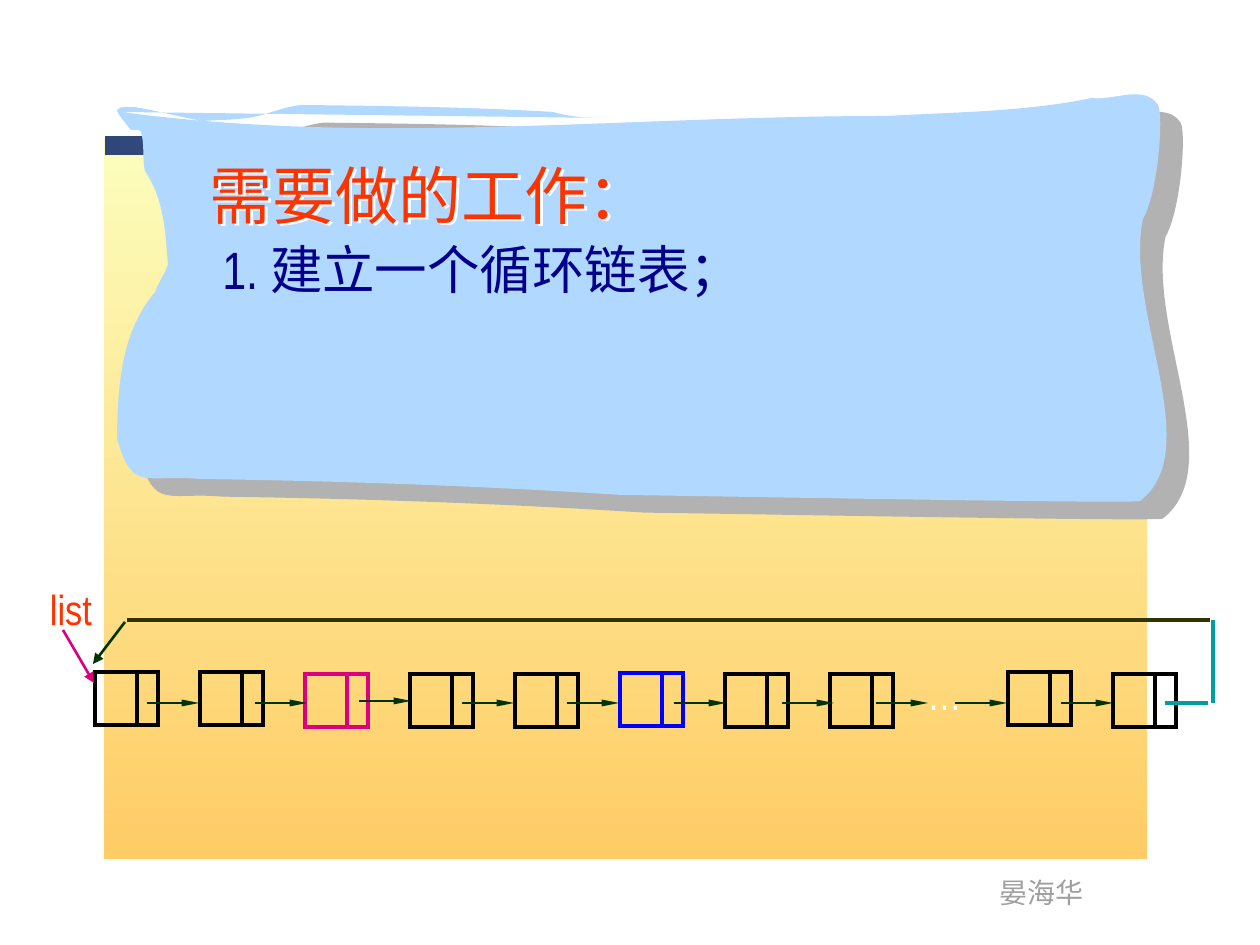
"""Build a slide about creating a circular linked list."""
import pptx
import pptx.util
import pptx.dml.color
import pptx.enum.shapes
import pptx.enum.text
import pptx.oxml
import pptx.oxml.ns

PX = 914400 // 126
LATIN, HAN = "Arial Narrow", "Noto Sans CJK SC"
COLORS = {
    "cream": "FCFEBC", "orange": "FFCC66", "navy": "2F4778", "sky": "6699FF",
    "paper": "B1D8FF", "shade": "B2B2B2", "red": "FF3300", "ink": "00008C",
    "gray": "9F9F9F", "white": "FFFFFF", "black": "000000", "pink": "DC0081",
    "blue": "0000FF", "olive": "333300", "green": "003300", "teal": "009EA1",
}
RGB = {name: pptx.dml.color.RGBColor.from_string(code) for name, code in COLORS.items()}
NAMESPACE = pptx.oxml.ns.nsdecls("a")
EFFECTS = f"<a:effectLst {NAMESPACE}>%s</a:effectLst>"
SHADOW = ('<a:outerShdw dist="%d" dir="2280000" algn="ctr" rotWithShape="0">'
          '<a:srgbClr val="%s"/></a:outerShdw>')

deck = pptx.Presentation()
deck.slide_width, deck.slide_height = 1260 * PX, 945 * PX
page = deck.slides.add_slide(deck.slide_layouts[6])
shapes = page.shapes


def add_text(left, top, width, height, parts, size, color, wrap=False, centered=False):
    box = shapes.add_textbox(left * PX, top * PX, width * PX, height * PX)
    box.text_frame.word_wrap = wrap
    para = box.text_frame.paragraphs[0]
    if centered:
        para.alignment = pptx.enum.text.PP_ALIGN.CENTER
    para.font.size = pptx.util.Pt(size)
    para.font.color.rgb = RGB[color]
    para.font.name = LATIN
    for text, font in parts:
        span = para.add_run()
        span.text = text
        if font != LATIN:
            span.font.name = font
    return box


def add_line(start_x, start_y, end_x, end_y, color, width, head=""):
    line = shapes.add_connector(pptx.enum.shapes.MSO_CONNECTOR.STRAIGHT,
                                start_x * PX, start_y * PX, end_x * PX, end_y * PX)
    line.line.color.rgb = RGB[color]
    line.line.width = pptx.util.Pt(width)
    if head:
        line.line._get_or_add_ln().append(pptx.oxml.parse_xml(
            f'<a:tailEnd {NAMESPACE} type="triangle" {head}/>'))
    line._element.spPr.append(pptx.oxml.parse_xml(EFFECTS % ""))


# left, top, width, height, first color, last color, angle
for left, top, width, height, first, last, angle in (
    (104, 138, 1043, 721, "cream", "orange", 270),
    (105, 136, 1042, 19, "navy", "sky", 0),
):
    panel = shapes.add_shape(pptx.enum.shapes.MSO_SHAPE.RECTANGLE,
                             left * PX, top * PX, width * PX, height * PX)
    panel.shadow.inherit = False
    panel.line.fill.background()
    panel.fill.gradient()
    panel.fill.gradient_angle = angle
    for stop, color in zip(panel.fill.gradient_stops, (first, last)):
        stop.color.rgb = RGB[color]

add_text(987, 869, 110, 47, [("晏海华", LATIN)], 16, "gray")

paper_curves = [
    (375, 146, 619, 116, 887, 116), (956, 112, 1024, 112, 1092, 98),
    (1114, 101, 1144, 84, 1158, 105), (1164, 116, 1158, 193, 1143, 219),
    (1124, 310, 1207, 450, 1140, 501), (1137, 504, 708, 496, 622, 495),
    (481, 486, 343, 481, 200, 479), (145, 474, 132, 493, 117, 438),
    (118, 384, 121, 333, 155, 292), (159, 282, 164, 275, 168, 265),
    (165, 228, 164, 200, 145, 171), (142, 159, 145, 145, 141, 132),
    (140, 129, 135, 130, 131, 130), (130, 129, 116, 112, 117, 110),
    (121, 105, 129, 108, 134, 107), (159, 111, 179, 117, 203, 121),
    (218, 120, 232, 120, 247, 118), (265, 116, 282, 107, 301, 105),
    (388, 106, 469, 107, 553, 112), (571, 117, 586, 118, 604, 118),
]
builder = shapes.build_freeform(121, 112, scale=PX)
for curve in paper_curves:
    builder.add_line_segments(list(zip(curve[::2], curve[1::2])), close=False)
paper = builder.convert_to_shape()
segments = paper._element.xpath(".//a:lnTo")
for first in range(0, len(segments), 3):
    bezier = pptx.oxml.parse_xml(f"<a:cubicBezTo {NAMESPACE}/>")
    segments[first].addprevious(bezier)
    for segment in segments[first:first + 3]:
        bezier.append(segment[0])
        segment.getparent().remove(segment)
bezier.addnext(pptx.oxml.parse_xml(f"<a:close {NAMESPACE}/>"))
paper.fill.solid()
paper.fill.fore_color.rgb = RGB["paper"]
paper.line.fill.background()
paper._element.spPr.append(pptx.oxml.parse_xml(
    EFFECTS % (SHADOW % (pptx.util.Pt(16.4), COLORS["shade"]))))

title = add_text(197, 150, 467, 88, [("需要做的工作：", LATIN)], 36, "red")
title._element.spPr.append(pptx.oxml.parse_xml(
    EFFECTS % (SHADOW % (pptx.util.Pt(2), COLORS["white"]))))
add_text(210, 231, 945, 76, [("1.", LATIN), (" 建立一个循环链表；", HAN)], 30, "ink", wrap=True)

add_line(127, 620, 1210, 620, "olive", 1.75)

node_lefts = [95 + 105 * index for index in range(8)] + [1008, 1113]
node_tops = [672, 672, 674, 674, 674, 673, 674, 674, 672, 674]
node_colors = {2: "pink", 5: "blue"}
for index, (left, top) in enumerate(zip(node_lefts, node_tops)):
    for offset, width in ((0, 42), (42, 21)):
        cell = shapes.add_shape(pptx.enum.shapes.MSO_SHAPE.RECTANGLE,
                                (left + offset) * PX, top * PX, width * PX, 53 * PX)
        cell.shadow.inherit = False
        cell.fill.background()
        cell.line.color.rgb = RGB[node_colors.get(index, "black")]
        cell.line.width = pptx.util.Pt(2)
        cell.line._get_or_add_ln().append(
            pptx.oxml.parse_xml(f'<a:miter {NAMESPACE} lim="800000"/>'))

for index, left in enumerate([147, 255, 359, 462, 567, 674, 782, 876, 955, 1061]):
    height = 701 if index == 2 else 703
    add_line(left, height, left + 52, height, "green", 1.5, 'w="sm" len="lg"')

add_text(911, 662, 67, 63, [("…", LATIN)], 24, "white", centered=True)
add_line(1165, 703, 1208, 703, "teal", 1.75)
add_line(1213, 620, 1213, 703, "teal", 1.75)
add_line(125, 622, 93, 664, "green", 1.5, 'w="med" len="med"')
add_text(31, 577, 80, 63, [("list", LATIN)], 24, "red", centered=True)
add_line(63, 630, 94, 683, "pink", 1.5, 'w="med" len="med"')

deck.save("out.pptx")
